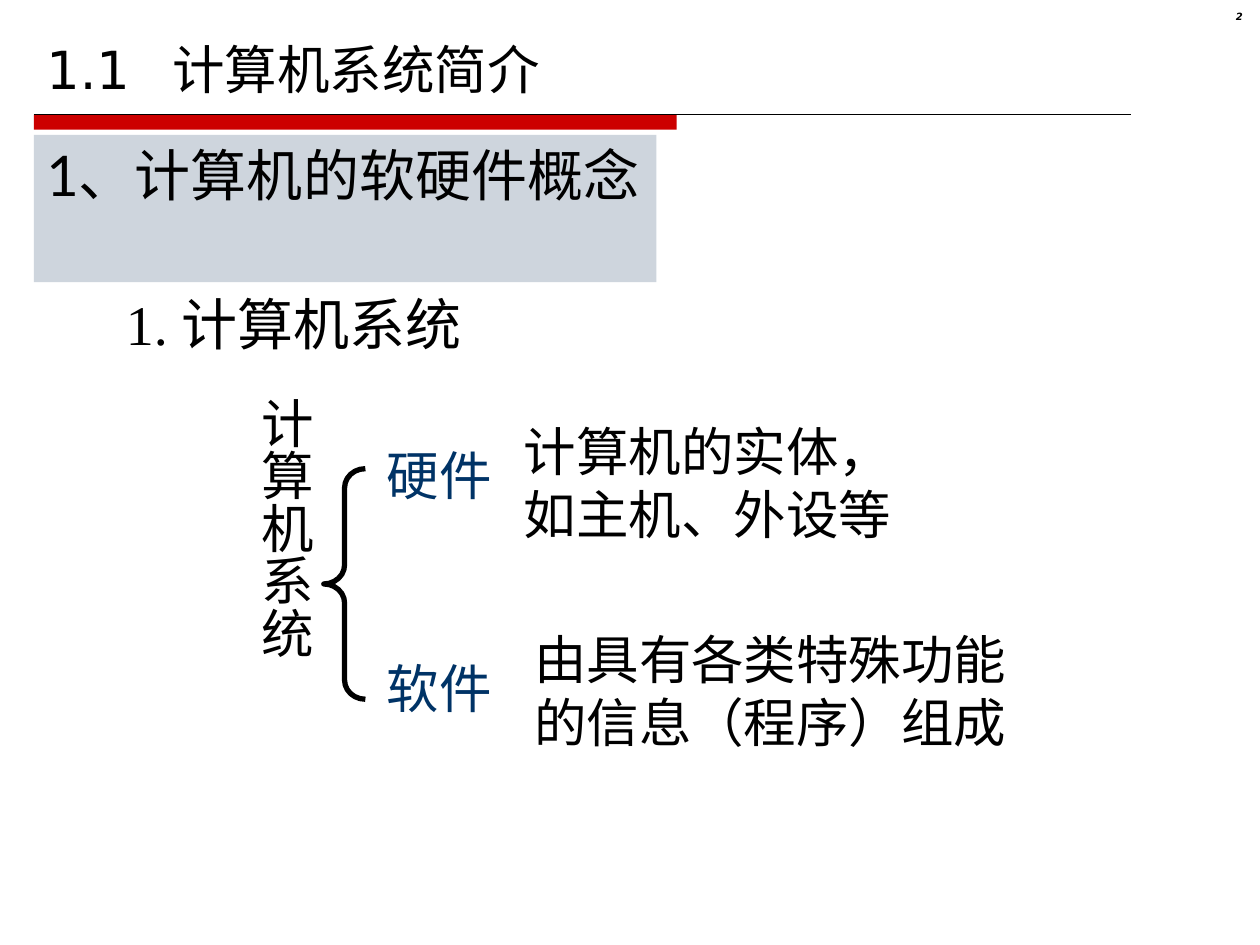
import pptx
import pptx.util
import pptx.dml.color
import pptx.enum.shapes
import pptx.enum.text
import pptx.oxml
from pptx.oxml import ns

Inches, Pt = pptx.util.Inches, pptx.util.Pt
RGB = pptx.dml.color.RGBColor
SHAPE = pptx.enum.shapes.MSO_SHAPE
ALIGN = pptx.enum.text.PP_ALIGN
ANCHOR = pptx.enum.text.MSO_ANCHOR

BLACK, NAVY = RGB(0, 0, 0), RGB(0, 0x33, 0x66)
RED, PALE = RGB(0xCC, 0, 0), RGB(0xCE, 0xD5, 0xDD)
SANS, BODY, SERIF = "DejaVu Sans", "Lato", "Times New Roman"
LEFT = 0.27  # shared left edge of title, rule and heading

# Content
TITLE = "1.1\t计算机系统简介"
HEADING = "1、计算机的软硬件概念"
SUBHEADING = [("1. ", SERIF), ("计算机系统", BODY)]
ROOT = "计算机系统"
# term, its top; explanation lines, font, box, wrap
BRANCHES = [
    ("硬件", 3.47, ["计算机的实体，", "如主机、外设等"], BODY,
     (4.06, 3.28, 4.64, 1.1), True),
    ("软件", 5.16, ["由具有各类特殊功能", "的信息（程序）组成"], SERIF,
     (4.14, 4.93, 3.95, 1.1), False),
]

prs = pptx.Presentation()
prs.slide_width, prs.slide_height = Inches(10), Inches(7.5)
s = prs.slides.add_slide(prs.slide_layouts[6])


def inches(box):
    return [Inches(v) for v in box]


def write(tf, paragraphs, size, color=BLACK):
    """Fill a text frame; each paragraph is a list of (text, font) runs."""
    for i, runs in enumerate(paragraphs):
        p = tf.paragraphs[0] if i == 0 else tf.add_paragraph()
        p.alignment = ALIGN.LEFT
        for text, font in runs:
            r = p.add_run()
            r.text = text
            r.font.name, r.font.size = font, Pt(size)
            r.font.color.rgb = color


def add_text(box, paragraphs, size=30, color=BLACK, wrap=True):
    tf = s.shapes.add_textbox(*inches(box)).text_frame
    tf.word_wrap = wrap
    write(tf, paragraphs, size, color)
    return tf


def add_filled(box, color):
    sp = s.shapes.add_shape(SHAPE.RECTANGLE, *inches(box))
    sp.shadow.inherit = False
    sp.fill.solid()
    sp.fill.fore_color.rgb = color
    sp.line.fill.background()
    return sp


# Title rule: thick bar and thin line
add_filled((LEFT, 0.91, 5.1, 0.12), RED)
rule = s.shapes.add_connector(pptx.enum.shapes.MSO_CONNECTOR.STRAIGHT,
                              *inches((LEFT, 0.91, 8.98, 0.91)))
rule.line.color.rgb, rule.line.width = BLACK, Pt(0.75)
rule._element.spPr.append(pptx.oxml.parse_xml(
    "<a:effectLst %s/>" % ns.nsdecls("a")))

# Title, with a tab stop after its number
tf = add_text((LEFT, 0.13, 9.45, 0.71), [[(TITLE, SANS)]])
tf.vertical_anchor = ANCHOR.BOTTOM
tf.paragraphs[0]._p.get_or_add_pPr().append(pptx.oxml.parse_xml(
    '<a:tabLst %s><a:tab pos="%d" algn="l"/></a:tabLst>'
    % (ns.nsdecls("a"), Inches(1))))

# Heading with hanging indent
tf = add_filled((LEFT, 1.07, 4.94, 1.17), PALE).text_frame
tf.word_wrap = True
tf.vertical_anchor = ANCHOR.TOP
write(tf, [[(HEADING, BODY)]], 32)
pPr = tf.paragraphs[0]._p.get_or_add_pPr()
pPr.set("marL", str(Inches(0.51)))
pPr.set("indent", str(-Inches(0.51)))

# Slide number
tf = add_text((9.37, 0.05, 0.59, 0.23), [[("2", SANS)]], 5.7)
p = tf.paragraphs[0]
p.alignment, p.line_spacing = ALIGN.RIGHT, 0.8
p.runs[0].font.bold = p.runs[0].font.italic = True

# Subheading
add_text((0.9, 2.25, 5.33, 0.64), [SUBHEADING], 32)

# Vertical root label
tf = add_text((1.87, 3.05, 0.7, 3.17), [[(ROOT, BODY)]])
tf.margin_left = tf.margin_right = Inches(0.05)
tf.margin_top = tf.margin_bottom = Inches(0.1)
tf.paragraphs[0].alignment = ALIGN.CENTER
tf._txBody.bodyPr.set("vert", "eaVert")

# Brace
brace = s.shapes.add_shape(SHAPE.LEFT_BRACE, *inches((2.57, 3.72, 0.33, 1.83)))
brace.shadow.inherit = False
brace.fill.background()
brace.line.color.rgb, brace.line.width = BLACK, Pt(3)
brace.adjustments[0], brace.adjustments[1] = 0.46, 0.5

# Branch terms and explanations
for term, top, lines, font, box, wrap in BRANCHES:
    add_text((2.97, top, 1.03, 0.6), [[(term, BODY)]], color=NAVY, wrap=False)
    add_text(box, [[(line, font)] for line in lines], wrap=wrap)

prs.save("out.pptx")
